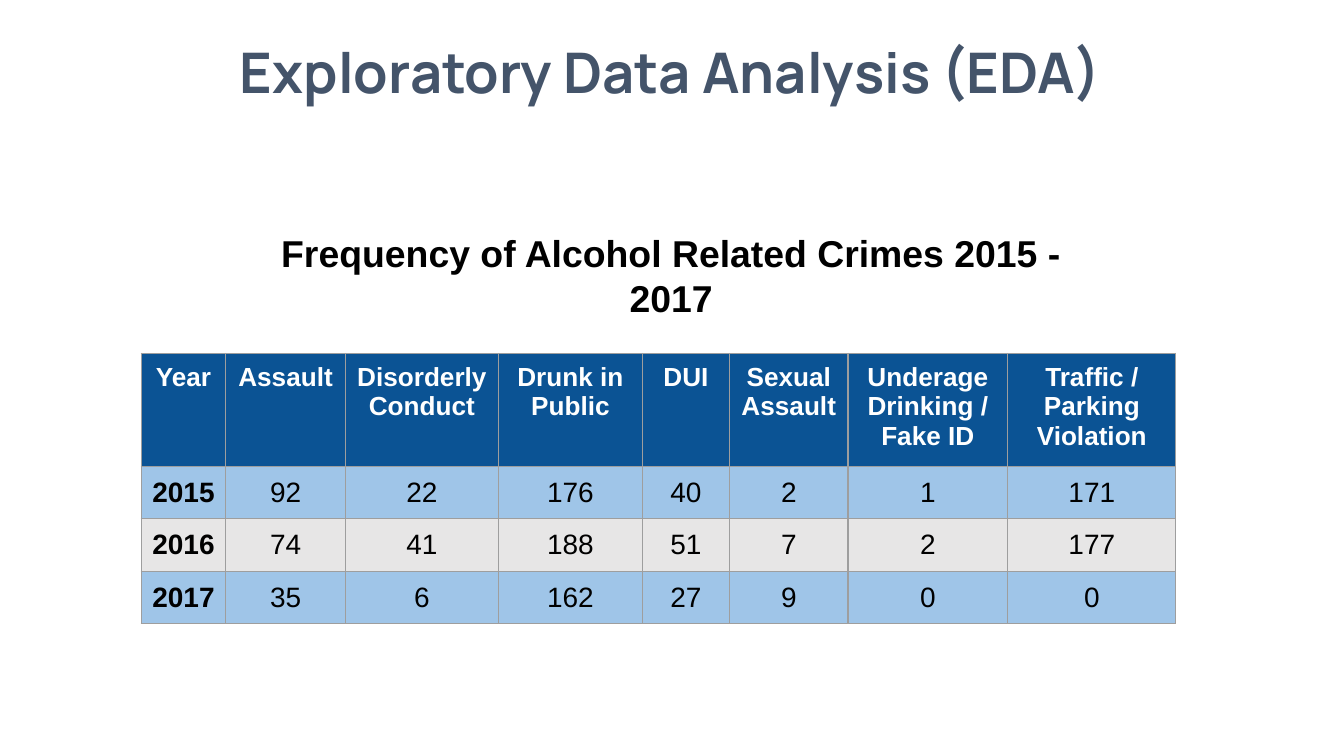
from pptx import Presentation
from pptx.dml.color import RGBColor
from pptx.enum.text import MSO_ANCHOR as Anchor, PP_ALIGN as Align
from pptx.oxml import parse_xml
from pptx.oxml.ns import nsdecls
from pptx.util import Inches, Pt

SLATE = RGBColor(0x44, 0x54, 0x6A)
BLACK = RGBColor(0x00, 0x00, 0x00)
WHITE = RGBColor(0xFF, 0xFF, 0xFF)
NAVY = RGBColor(0x0B, 0x53, 0x94)
LIGHT_BLUE = RGBColor(0x9F, 0xC5, 0xE8)
LIGHT_GRAY = RGBColor(0xE7, 0xE6, 0xE6)
BORDER_GRAY = RGBColor(0x9E, 0x9E, 0x9E)


def write_text(frame, text, color, **formats):
    """Write one centred paragraph."""
    para = frame.paragraphs[0]
    para.alignment = Align.CENTER
    span = para.add_run()
    span.text = text
    span.font.color.rgb = color
    for name, value in formats.items():
        setattr(span.font, name, value)
    return para


def add_borders(cell):
    """Draw a thin line on all four sides of a cell."""
    properties = cell._tc.get_or_add_tcPr()
    for index, side in enumerate(("lnL", "lnR", "lnT", "lnB")):
        line = parse_xml(
            f'<a:{side} {nsdecls("a")} w="{Pt(0.75)}"><a:solidFill>'
            f'<a:srgbClr val="{BORDER_GRAY}"/></a:solidFill></a:{side}>'
        )
        properties.insert(index, line)


# Widescreen page, 16 to 9
deck = Presentation()
deck.slide_width = Inches(10)
deck.slide_height = Inches(10 * 9 / 16)
page = deck.slides.add_slide(deck.slide_layouts[6])

# Title and table heading
headings = [
    ("Exploratory Data Analysis (EDA)", (0.68, 0, 8.62, 0.83), 0.04,
     Anchor.BOTTOM, 0.9, SLATE, {"name": "Manrope", "size": Pt(30)}),
    ("Frequency of Alcohol Related Crimes 2015 - 2017", (1.68, 1.64, 6.63, 0.55), 0.07,
     Anchor.TOP, 1.0, BLACK, {"name": "Arial", "size": Pt(20)}),
]
for text, place, inset, anchor, spacing, color, formats in headings:
    box = page.shapes.add_textbox(*map(Inches, place))
    frame_formats = {
        "word_wrap": True,
        "vertical_anchor": anchor,
        "margin_left": Inches(0.07),
        "margin_right": Inches(0.07),
        "margin_top": Inches(inset),
        "margin_bottom": Inches(inset),
    }
    for name, value in frame_formats.items():
        setattr(box.text_frame, name, value)
    para = write_text(box.text_frame, text, color, bold=True, **formats)
    para.line_spacing = spacing

# Crime counts by year; rows grow to fit their text
crimes = [
    ("Year", "Assault", "Disorderly Conduct", "Drunk in Public", "DUI",
     "Sexual Assault", "Underage Drinking / Fake ID", "Traffic / Parking Violation"),
    (2015, 92, 22, 176, 40, 2, 1, 171),
    (2016, 74, 41, 188, 51, 7, 2, 177),
    (2017, 35, 6, 162, 27, 9, 0, 0),
]
column_widths = [0.63, 0.89, 1.14, 1.07, 0.65, 0.88, 1.19, 1.25]
row_heights = [0.38, 0.31, 0.31, 0.31]
row_fills = [NAVY, LIGHT_BLUE, LIGHT_GRAY, LIGHT_BLUE]

table = page.shapes.add_table(
    len(crimes), len(column_widths), Inches(1.05), Inches(2.63),
    Inches(sum(column_widths)), Inches(sum(row_heights)),
).table
for column, width in zip(table.columns, column_widths):
    column.width = Inches(width)
for row, height in zip(table.rows, row_heights):
    row.height = Inches(height)

for row_index, values in enumerate(crimes):
    is_header = row_index == 0
    for column_index, value in enumerate(values):
        cell = table.cell(row_index, column_index)
        for side in ("left", "right", "top", "bottom"):
            setattr(cell, f"margin_{side}", Inches(0.07))
        cell.vertical_anchor = Anchor.TOP if is_header else Anchor.MIDDLE
        cell.fill.solid()
        cell.fill.fore_color.rgb = row_fills[row_index]
        add_borders(cell)
        write_text(
            cell.text_frame, str(value), WHITE if is_header else BLACK,
            name="Arial", size=Pt(14 if is_header else 15),
            bold=is_header or column_index == 0,
        )

deck.save("out.pptx")
